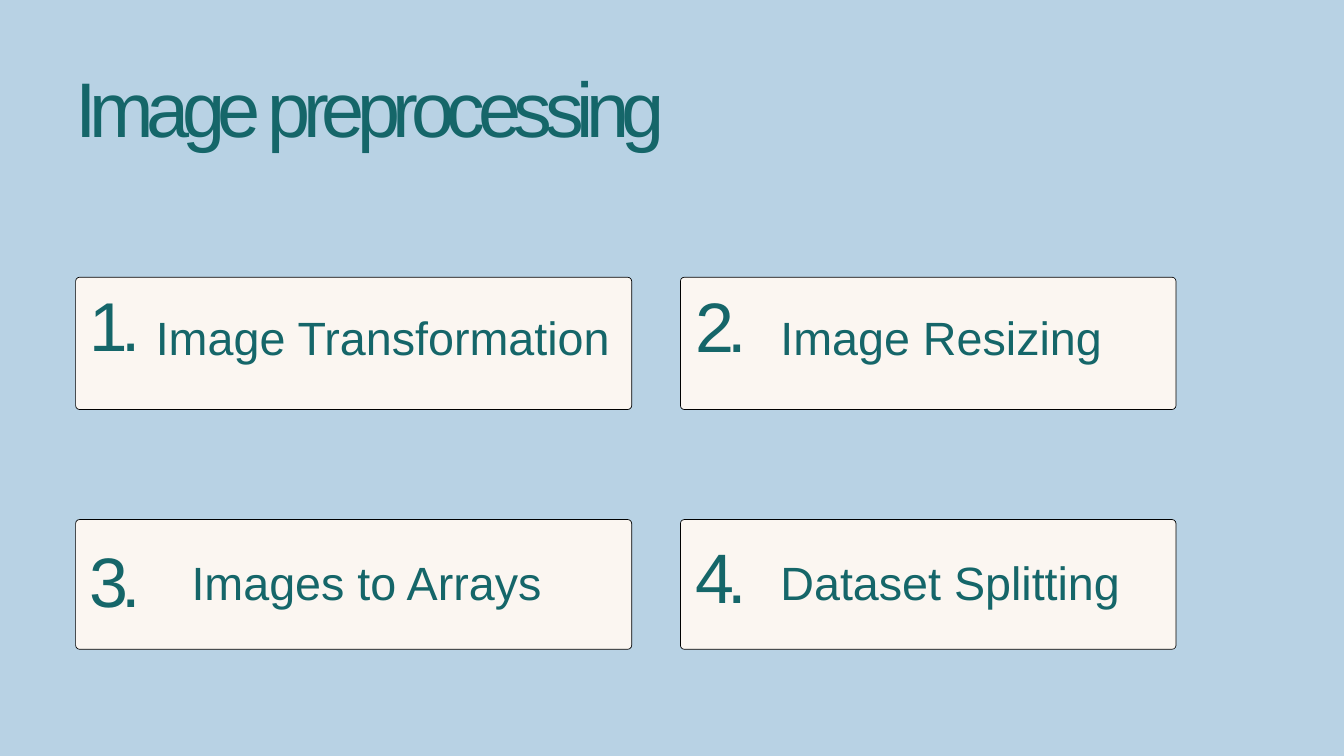
from pptx import Presentation, util as u
from pptx.dml.color import RGBColor
from pptx.enum import shapes, text

COLOURS = {"sky": "B8D2E4", "teal": "156669", "cream": "FBF6F1", "black": "000000"}
FONT = "Arial"
CELL = 0.125  # inches; the slide is a grid of 160 columns by 90 rows
CORNER = 0.06  # inches

# Left, width, and the left of the number, in columns
CARD_COLUMNS = [(9, 66.2, 10.65), (81, 59, 82.8)]
# Top, height, and the top of the label, in rows
CARD_ROWS = [(33, 15.75, 34.4), (61.85, 15.45, 63.6)]

# Column, row, number, number size, number top, label, label left, label width
STEPS = [
    (0, 0, "1.", 74, 35.6, "Image Transformation", 18.55, 55.2),
    (1, 0, "2.", 75, 35.6, "Image Resizing", 92.9, 45.7),
    (0, 1, "3.", 75, 66, "Images to Arrays", 22.8, 42.8),
    (1, 1, "4.", 75, 65.5, "Dataset Splitting", 92.9, 43.7),
]


def colour(name):
    return RGBColor.from_string(COLOURS[name])


class SlideBuilder:
    def __init__(self, slide):
        self.slide = slide

    def place(self, *cells):
        """Turn columns and rows into lengths."""
        return [u.Inches(cell * CELL) for cell in cells]

    def background(self, name):
        fill = self.slide.background.fill
        fill.solid()
        fill.fore_color.rgb = colour(name)

    def card(self, left, top, width, height):
        card = self.slide.shapes.add_shape(
            shapes.MSO_SHAPE.ROUNDED_RECTANGLE, *self.place(left, top, width, height))
        card.adjustments[0] = CORNER / (height * CELL)
        card.shadow.inherit = False
        card.fill.solid()
        card.fill.fore_color.rgb = colour("cream")
        card.line.color.rgb = colour("black")
        card.line.width = u.Pt(0.75)

    def text(self, words, left, top, width, height, size, leading, tracking=0):
        """Add one line of text; leading and tracking are in points."""
        box = self.slide.shapes.add_textbox(*self.place(left, top, width, height))
        frame = box.text_frame
        frame.margin_left = frame.margin_right = 0
        frame.margin_top = frame.margin_bottom = 0
        frame.word_wrap = True
        frame.auto_size = text.MSO_AUTO_SIZE.SHAPE_TO_FIT_TEXT
        frame.text = words
        para = frame.paragraphs[0]
        para.line_spacing = u.Pt(leading)
        span = para.runs[0]
        span.font.name = FONT
        span.font.size = u.Pt(size)
        span.font.color.rgb = colour("teal")
        if tracking:
            span.font._element.set("spc", str(round(tracking * 100)))


def main():
    deck = Presentation()
    deck.slide_width, deck.slide_height = u.Inches(20), u.Inches(11.25)
    page = SlideBuilder(deck.slides.add_slide(deck.slide_layouts[6]))

    page.background("sky")
    page.text("Image preprocessing", 9, 9.3, 70.3, 10.8, 83, 79.7, -8)

    for column, row, number, size, number_top, label, label_left, label_width in STEPS:
        left, width, number_left = CARD_COLUMNS[column]
        top, height, label_top = CARD_ROWS[row]
        page.card(left, top, width, height)
        page.text(number, number_left, number_top, 16, 9.8, size, size - 3, -(size - 3) / 10)
        page.text(label, label_left, label_top, label_width, 9.3, 50, 81.5)

    deck.save("out.pptx")


if __name__ == "__main__":
    main()
